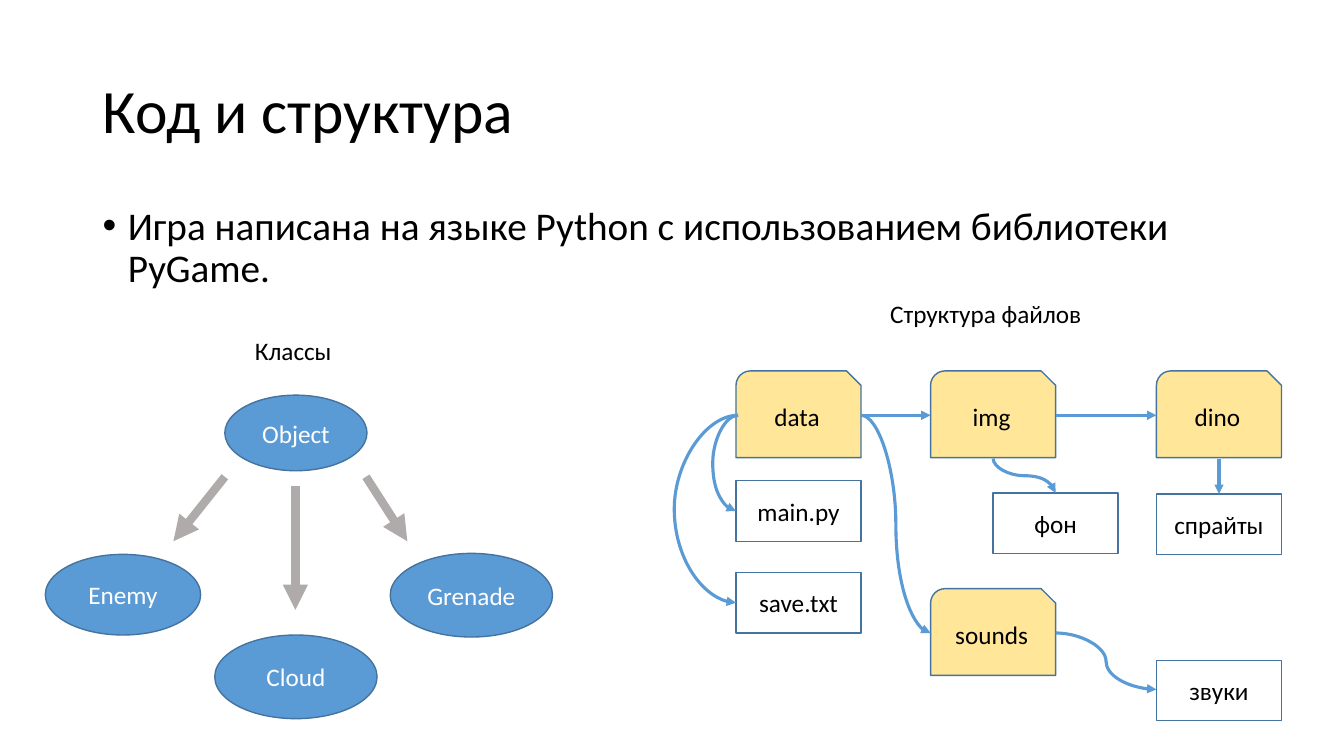
from dataclasses import dataclass
from typing import Optional

import lxml.etree
import pptx
import pptx.dml.color
import pptx.enum.shapes
import pptx.enum.text
import pptx.oxml.ns
import pptx.util

Inches = pptx.util.Inches
Pt = pptx.util.Pt
RGBColor = pptx.dml.color.RGBColor
Kind = pptx.enum.shapes.MSO_SHAPE
Line = pptx.enum.shapes.MSO_CONNECTOR
Align = pptx.enum.text.PP_ALIGN
Anchor = pptx.enum.text.MSO_ANCHOR
qn = pptx.oxml.ns.qn

FONT = "Calibri"
BLACK = RGBColor(0x00, 0x00, 0x00)
WHITE = RGBColor(0xFF, 0xFF, 0xFF)
BLUE = RGBColor(0x5B, 0x9B, 0xD5)
OUTLINE = RGBColor(0x43, 0x73, 0x9E)
FOLDER_YELLOW = RGBColor(0xFF, 0xE6, 0x99)
GRAY = RGBColor(0xAF, 0xAB, 0xAB)


@dataclass
class Style:
    kind: Kind
    fill: RGBColor
    font: RGBColor


@dataclass
class Node:
    text: str
    left: float
    top: float
    width: float
    height: float
    style: Style


@dataclass
class Arrow:
    x1: float
    y1: float
    x2: float
    y2: float
    color: RGBColor = BLUE
    width: float = 2.25
    curved: bool = False
    vertical: bool = False  # the curve leaves its start vertically
    bend: float = 0.5  # place of the bend, as a share of the span
    target: Optional[str] = None  # rectangle whose top the arrow joins


@dataclass
class Label:
    text: str
    left: float
    top: float
    width: float
    height: float
    size: float = 18


CLASS = Style(Kind.OVAL, BLUE, WHITE)
FOLDER = Style(Kind.SNIP_ROUND_RECTANGLE, FOLDER_YELLOW, BLACK)
FILE = Style(Kind.RECTANGLE, WHITE, BLACK)

# Columns and sizes of the file tree
DATA_X, IMG_X, DINO_X = 7.3, 9.23, 11.47
BOX_W, FOLDER_H, FILE_H = 1.24, 0.86, 0.6
FOLDER_Y, SOUNDS_Y = 3.68, 5.84
MAIN_Y, SAVE_Y, SOUND_FILES_Y = 4.77, 5.68, 6.55
ROW_Y = 4.12  # height of the arrows along the top row
LOOP_X = DATA_X + 0.02  # start of the loops to the left of data


def folder(text: str, left: float, top: float = FOLDER_Y) -> Node:
    return Node(text, left, top, BOX_W, FOLDER_H, FOLDER)


def file(text: str, left: float, top: float) -> Node:
    return Node(text, left, top, BOX_W, FILE_H, FILE)


def loop(top: float, reach: float) -> Arrow:
    """Curve that goes out to the left of data and back to a file."""
    return Arrow(LOOP_X, ROW_Y, DATA_X, top + FILE_H / 2, curved=True,
                 bend=(LOOP_X - reach) / (LOOP_X - DATA_X))


NODES = [
    Node("Object", 2.23, 3.92, 1.41, 0.75, CLASS),
    Node("Enemy", 0.45, 5.5, 1.54, 0.8, CLASS),
    Node("Cloud", 2.13, 6.3, 1.61, 0.83, CLASS),
    Node("Grenade", 3.87, 5.49, 1.61, 0.83, CLASS),
    folder("data", DATA_X),
    folder("img", IMG_X),
    folder("sounds", IMG_X, SOUNDS_Y),
    folder("dino", DINO_X),
    file("main.py", DATA_X, MAIN_Y),
    file("save.txt", DATA_X, SAVE_Y),
    file("звуки", DINO_X, SOUND_FILES_Y),
    file("спрайты", DINO_X, 4.9),
    file("фон", 9.85, 4.89),
]

ARROWS = [
    Arrow(2.23, 4.73, 1.72, 5.37, GRAY, 6),
    Arrow(3.63, 4.73, 4.04, 5.37, GRAY, 6),
    Arrow(2.93, 4.82, 2.93, 6.05, GRAY, 6),
    Arrow(DATA_X + BOX_W, ROW_Y, IMG_X, ROW_Y),
    Arrow(IMG_X + BOX_W, ROW_Y, DINO_X, ROW_Y),
    Arrow(12.09, 4.55, 12.09, 4.9, target="спрайты"),
    loop(MAIN_Y, 7.07),
    loop(SAVE_Y, 6.69),
    Arrow(9.85, 4.55, 10.47, 4.89, curved=True, vertical=True),
    Arrow(DATA_X + BOX_W, ROW_Y, IMG_X, 6.28, curved=True),
    Arrow(IMG_X + BOX_W, 6.28, DINO_X, 6.84, curved=True),
]

LABELS = [
    Label("Классы", 2.43, 3.28, 1.61, 0.4),
    Label("Структура файлов", 8.73, 2.91, 2.61, 0.4),
]


def format_runs(p, size: float, color: RGBColor) -> None:
    for r in p.runs:
        r.font.name = FONT
        r.font.size = Pt(size)
        r.font.color.rgb = color


def add_label(slide, label: Label):
    sp = slide.shapes.add_textbox(Inches(label.left), Inches(label.top),
                                  Inches(label.width), Inches(label.height))
    tf = sp.text_frame
    tf.word_wrap = True
    tf.text = label.text
    format_runs(tf.paragraphs[0], label.size, BLACK)
    return tf


def add_node(slide, node: Node):
    sp = slide.shapes.add_shape(node.style.kind, Inches(node.left), Inches(node.top),
                                Inches(node.width), Inches(node.height))
    sp.shadow.inherit = False
    sp.fill.solid()
    sp.fill.fore_color.rgb = node.style.fill
    sp.line.color.rgb = OUTLINE
    sp.line.width = Pt(1)
    tf = sp.text_frame
    tf.text = node.text
    tf.vertical_anchor = Anchor.MIDDLE
    p = tf.paragraphs[0]
    p.alignment = Align.CENTER
    format_runs(p, 18, node.style.font)
    return sp


def add_arrow(slide, arrow: Arrow, shapes: dict) -> None:
    x1, y1, x2, y2 = arrow.x1, arrow.y1, arrow.x2, arrow.y2
    if arrow.vertical:  # lay the curve out turned, then rotate it back
        cx, cy, dx, dy = (x1 + x2) / 2, (y1 + y2) / 2, (x2 - x1) / 2, (y2 - y1) / 2
        x1, y1, x2, y2 = cx + dy, cy - dx, cx - dy, cy + dx
    kind = Line.CURVE if arrow.curved else Line.STRAIGHT
    line = slide.shapes.add_connector(kind, Inches(x1), Inches(y1), Inches(x2), Inches(y2))
    line.line.color.rgb = arrow.color
    line.line.width = Pt(arrow.width)
    if arrow.target:
        line.end_connect(shapes[arrow.target], 0)
    props = line._element.spPr
    if arrow.vertical:
        props.find(qn("a:xfrm")).set("rot", str(270 * 60000))
    if arrow.curved:
        guides = props.find(qn("a:prstGeom")).find(qn("a:avLst"))
        lxml.etree.SubElement(guides, qn("a:gd"), name="adj1",
                              fmla=f"val {round(arrow.bend * 100000)}")
    lxml.etree.SubElement(props.find(qn("a:ln")), qn("a:tailEnd"), type="triangle")
    lxml.etree.SubElement(props, qn("a:effectLst"))


def main() -> None:
    prs = pptx.Presentation()
    prs.slide_width, prs.slide_height = Inches(13.33), Inches(7.5)
    slide = prs.slides.add_slide(prs.slide_layouts[6])

    # Title
    tf = add_label(slide, Label("Код и структура", 0.92, 0.4, 11.5, 1.45, 44))
    tf.vertical_anchor = Anchor.MIDDLE
    tf.paragraphs[0].line_spacing = 0.9

    # Bullet
    tf = add_label(slide, Label(
        "Игра написана на языке Python с использованием библиотеки PyGame.",
        0.92, 2, 11.5, 1.1, 28))
    p = tf.paragraphs[0]
    p.line_spacing = 0.9
    p.space_before = Pt(10)
    ppr = p._p.get_or_add_pPr()
    ppr.set("marL", str(Inches(0.25)))
    ppr.set("indent", str(-Inches(0.25)))
    lxml.etree.SubElement(ppr, qn("a:buFont"), typeface="Arial")
    lxml.etree.SubElement(ppr, qn("a:buChar"), char="•")

    # Class diagram and file tree
    shapes = {node.text: add_node(slide, node) for node in NODES}
    for arrow in ARROWS:
        add_arrow(slide, arrow, shapes)
    for label in LABELS:
        add_label(slide, label)

    prs.save("out.pptx")


if __name__ == "__main__":
    main()
